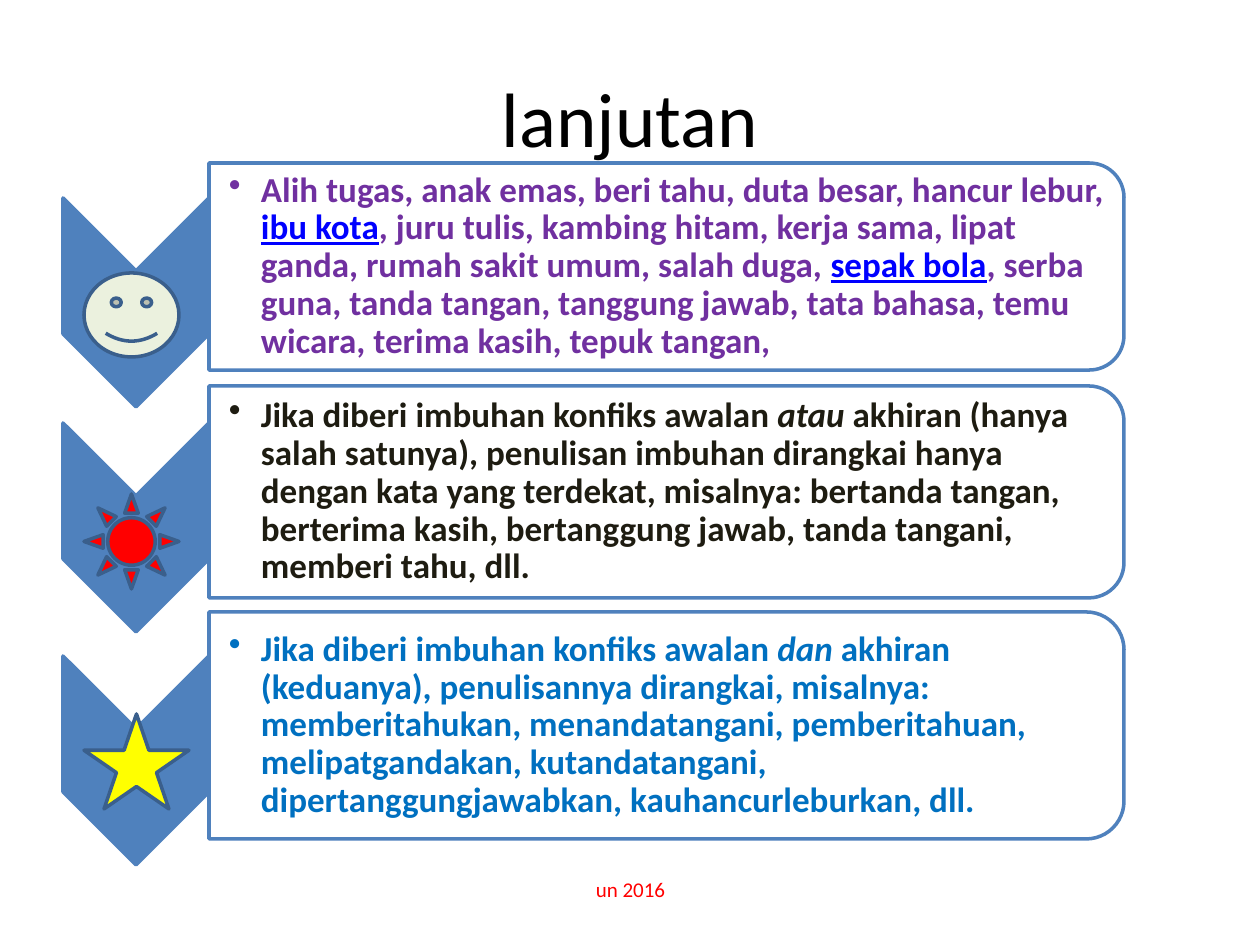
from lxml import etree
from pptx import Presentation
from pptx.dml.color import RGBColor
from pptx.enum.shapes import MSO_SHAPE
from pptx.enum.text import MSO_ANCHOR, PP_ALIGN
from pptx.oxml.ns import qn
from pptx.util import Emu, Pt

COLORS = {
    "white": "FFFFFF", "black": "000000", "blue": "4F81BD", "outline": "3A5F8C",
    "purple": "7030A0", "link": "0000FF", "dark": "1E1C11", "sky": "0070C0",
    "red": "FF0000", "yellow": "FFFF00", "cream": "EBF1DE",
}
FONT = "Calibri"
PANEL_OPACITY = 90

ROWS = [
    {
        "box": (63, 163, 1061, 207), "chevron_top": 35, "color": "purple",
        "icon": (MSO_SHAPE.SMILEY_FACE, (84, 273, 95, 84), "cream"),
        "runs": [
            ("Alih tugas, anak emas, beri tahu, duta besar, hancur lebur, ", ""),
            ("ibu kota", "link"),
            (", juru tulis, kambing hitam, kerja sama, lipat ganda, rumah sakit "
             "umum, salah duga, ", ""),
            ("sepak bola", "link"),
            (", serba guna, tanda tangan, tanggung jawab, tata bahasa, temu wicara, "
             "terima kasih, tepuk tangan,", ""),
        ],
    },
    {
        "box": (63, 386, 1061, 212), "chevron_top": 37, "color": "dark",
        "icon": (MSO_SHAPE.SUN, (84, 494, 95, 95), "red"),
        "runs": [
            ("Jika diberi imbuhan konfiks awalan ", ""),
            ("atau ", "italic"),
            ("akhiran (hanya salah satunya), penulisan imbuhan dirangkai hanya dengan "
             "kata yang terdekat, misalnya: bertanda tangan, berterima kasih, "
             "bertanggung jawab, tanda tangani, memberi tahu, dll.", ""),
        ],
    },
    {
        "box": (63, 612, 1061, 227), "chevron_top": 44, "color": "sky",
        "icon": (MSO_SHAPE.STAR_5_POINT, (84, 714, 105, 95), "yellow"),
        "runs": [
            ("Jika diberi imbuhan konfiks awalan ", ""),
            ("dan ", "italic"),
            ("akhiran (keduanya), penulisannya dirangkai, misalnya: memberitahukan, "
             "menandatangani, pemberitahuan, melipatgandakan, kutandatangani, "
             "dipertanggungjawabkan, kauhancurleburkan, dll.", ""),
        ],
    },
]


def px(length):
    return Emu(round(length * 914400 / 126))


def rgb(name):
    return RGBColor.from_string(COLORS[name])


def add_outlined_shape(slide, kind, box, fill, line):
    shape = slide.shapes.add_shape(kind, *map(px, box))
    shape.shadow.inherit = False
    shape.fill.solid()
    shape.fill.fore_color.rgb = rgb(fill)
    shape.line.color.rgb = rgb(line)
    shape.line.width = Pt(2)
    return shape


def add_turned_shape(slide, kind, box, fill, line):
    left, top, width, height = box
    turned_box = (left + (width - height) / 2, top + (height - width) / 2, height, width)
    shape = add_outlined_shape(slide, kind, turned_box, fill, line)
    shape.rotation = 90
    return shape


def add_text_frame(slide, box):
    text_frame = slide.shapes.add_textbox(*map(px, box)).text_frame
    text_frame.word_wrap = True
    text_frame.vertical_anchor = MSO_ANCHOR.MIDDLE
    return text_frame


def add_run(paragraph, text, size, color):
    run = paragraph.add_run()
    run.text = text
    run.font.name = FONT
    run.font.size = Pt(size)
    run.font.color.rgb = rgb(color)
    return run


def add_centered_text(slide, box, text, size, color):
    paragraph = add_text_frame(slide, box).paragraphs[0]
    paragraph.alignment = PP_ALIGN.CENTER
    add_run(paragraph, text, size, color)


def set_bullet(paragraph, indent):
    properties = paragraph._p.get_or_add_pPr()
    properties.set("marL", str(px(indent)))
    properties.set("indent", str(-px(indent)))
    etree.SubElement(properties, qn("a:buChar")).set("char", "•")


def add_panel_text(slide, box, runs, color):
    text_frame = add_text_frame(slide, box)
    text_frame.margin_left = px(20)
    text_frame.margin_top = text_frame.margin_right = text_frame.margin_bottom = px(1)
    paragraph = text_frame.paragraphs[0]
    set_bullet(paragraph, 32)
    paragraph.line_spacing = 0.9
    for text, style in runs:
        run = add_run(paragraph, text, 20, "link" if style == "link" else color)
        run.font.bold = True
        run.font.italic = style == "italic"
        run.font.underline = style == "link"


def add_row(slide, box, chevron_top, color, runs):
    left, top, width, height = box
    chevron_width, chevron_height, inset = 146, 209, 10
    panel_left = left + chevron_width
    panel_width = width - chevron_width
    add_turned_shape(slide, MSO_SHAPE.CHEVRON,
                     (left, top + chevron_top, chevron_width, chevron_height),
                     "blue", "blue")
    panel = add_turned_shape(slide, MSO_SHAPE.ROUND_2_SAME_RECTANGLE,
                             (panel_left, top, panel_width, height), "white", "blue")
    fill_color = panel._element.spPr.find(qn("a:solidFill"))[0]
    etree.SubElement(fill_color, qn("a:alpha")).set("val", str(PANEL_OPACITY * 1000))
    add_panel_text(slide,
                   (panel_left, top + inset, panel_width - inset, height - 2 * inset),
                   runs, color)


def main():
    presentation = Presentation()
    presentation.slide_width = px(1260)
    presentation.slide_height = px(945)
    slide = presentation.slides.add_slide(presentation.slide_layouts[6])
    add_centered_text(slide, (63, 38, 1134, 158), "lanjutan", 44, "black")
    for row in ROWS:
        add_row(slide, row["box"], row["chevron_top"], row["color"], row["runs"])
    add_centered_text(slide, (431, 851, 399, 76), "un 2016", 12, "red")
    for row in ROWS:
        kind, box, fill = row["icon"]
        add_outlined_shape(slide, kind, box, fill, "outline")
    presentation.save("out.pptx")


if __name__ == "__main__":
    main()
